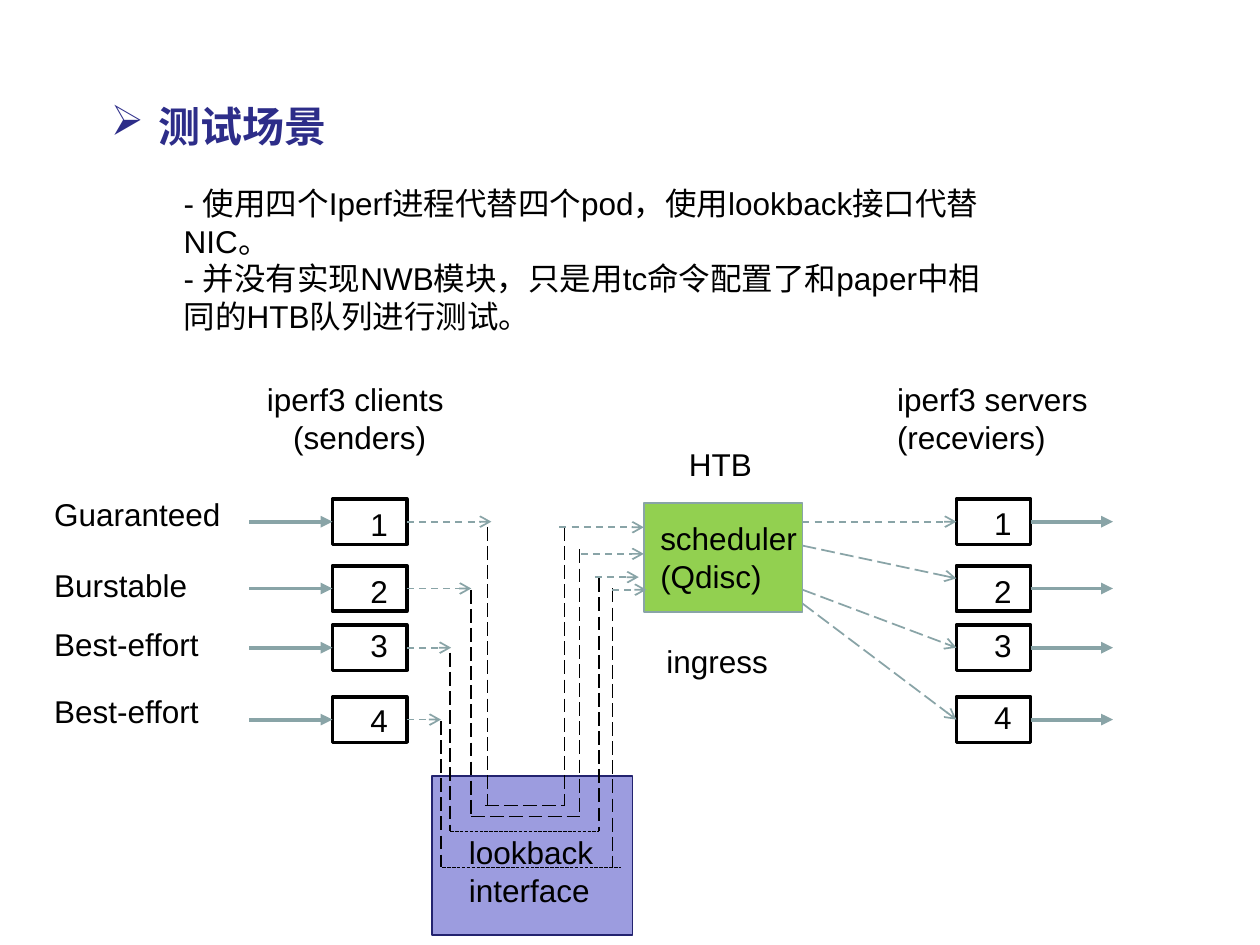
from lxml import etree
from pptx import Presentation
from pptx.dml.color import RGBColor
from pptx.enum.dml import MSO_LINE
from pptx.enum.shapes import MSO_CONNECTOR, MSO_SHAPE
from pptx.enum.text import MSO_ANCHOR, PP_ALIGN
from pptx.oxml.ns import qn
from pptx.util import Pt

RECT = MSO_SHAPE.RECTANGLE
STRAIGHT = MSO_CONNECTOR.STRAIGHT
TOP = MSO_ANCHOR.TOP
LEFT_ALIGN = PP_ALIGN.LEFT
DASH, LONG_DASH = MSO_LINE.DASH, MSO_LINE.LONG_DASH
LEFT, RIGHT = 1, 3  # connection sites of a rectangle

FONT = "Arial"
BLACK, WHITE, NAVY, GREY = "000000", "FFFFFF", "2D2D89", "89A4A7"
LILAC, INDIGO, GREEN = "9C9CDF", "23236F", "92D050"

BOX_W, BOX_H = 42.5, 26
ROWS = [0, 38.2, 72, 113.1]  # tops of the numbered boxes within a column


def rgb(color):
    return RGBColor.from_string(color)


def write(tf, lines, size=18, color=BLACK, bold=False):
    tf.vertical_anchor = TOP
    for i, line in enumerate(lines):
        p = tf.paragraphs[0] if i == 0 else tf.add_paragraph()
        p.alignment = LEFT_ALIGN
        r = p.add_run()
        r.text = line
        r.font.name, r.font.size, r.font.bold = FONT, Pt(size), bold
        r.font.color.rgb = rgb(color)


def label(slide, x, y, w, h, *lines):
    tf = slide.shapes.add_textbox(Pt(x), Pt(y), Pt(w), Pt(h)).text_frame
    tf.word_wrap = True
    write(tf, lines)
    return tf


def box(slide, x, y, w, h, fill, line, width, lines, inset):
    sp = slide.shapes.add_shape(RECT, Pt(x), Pt(y), Pt(w), Pt(h))
    sp.shadow.inherit = False
    sp.fill.solid()
    sp.fill.fore_color.rgb = rgb(fill)
    sp.line.color.rgb = rgb(line)
    sp.line.width = Pt(width)
    tf = sp.text_frame
    tf.word_wrap = False
    tf.margin_left, tf.margin_top = Pt(inset[0]), Pt(inset[1])
    tf.margin_right = tf.margin_bottom = 0
    write(tf, lines)
    return sp


def connect(slide, x1, y1, x2, y2, color=GREY, width=1, dash=None, head=None,
            begin=None, end=None):
    c = slide.shapes.add_connector(STRAIGHT, Pt(x1), Pt(y1), Pt(x2), Pt(y2))
    c.line.color.rgb = rgb(color)
    c.line.width = Pt(width)
    if dash:
        c.line.dash_style = dash
    if head:
        ln = c.line._get_or_add_ln()
        etree.SubElement(ln, qn("a:tailEnd"), type=head)
    etree.SubElement(c._element.spPr, qn("a:effectLst"))
    if begin:
        c.begin_connect(begin, RIGHT)
    if end:
        c.end_connect(end, LEFT)


def title(slide, x, y, w, h):
    sp = slide.shapes.title
    sp.left, sp.top, sp.width, sp.height = Pt(x), Pt(y), Pt(w), Pt(h)
    write(sp.text_frame, ["测试场景"], 24, NAVY, True)
    pPr = sp.text_frame.paragraphs[0]._p.get_or_add_pPr()
    pPr.set("marL", str(Pt(27)))
    pPr.set("indent", str(-Pt(27)))
    clr = etree.SubElement(pPr, qn("a:buClr"))
    etree.SubElement(clr, qn("a:srgbClr"), val=NAVY)
    etree.SubElement(pPr, qn("a:buChar"), char="➢")


def column(slide, x, y, number_tops):
    """Four numbered boxes, one below the other."""
    return [box(slide, x, y + row, BOX_W, BOX_H, WHITE, BLACK, 2, [str(i)], (21.6, top))
            for i, (row, top) in enumerate(zip(ROWS, number_tops), 1)]


def clients(slide, x, y):
    tf = label(slide, x - 44.6, y - 71.3, 118, 50.4, "iperf3 clients", "(senders)")
    tf.paragraphs[1]._p.get_or_add_pPr().set("indent", str(Pt(15)))
    boxes = column(slide, x, y, [3.6, 3.6, 0.7, 2.2])
    classes = [("Guaranteed", -5.7, 48.3), ("Burstable", -3.6, 36.8),
               ("Best-effort", -3.6, 25.3), ("Best-effort", -6.5, 19.5)]
    for sp, row, (name, shift, reach) in zip(boxes, ROWS, classes):
        mid = y + row + BOX_H / 2
        right = x + BOX_W
        label(slide, x - 166.2, y + row + shift, 114.5, 28.8, name)
        connect(slide, x - 47.5, mid, x, mid, width=2.25, head="triangle", end=sp)
        connect(slide, right, mid, right + reach, mid, dash=DASH, head="arrow", begin=sp)


def servers(slide, x, y):
    label(slide, x - 41, y - 71.3, 145.4, 50.4, "iperf3 servers", "(receviers)")
    boxes = column(slide, x, y, [2.9, 3.6, 0.7, 0.7])
    for sp, row in zip(boxes, ROWS):
        mid = y + row + BOX_H / 2
        connect(slide, x + BOX_W, mid, x + 89.5, mid, width=2.25, head="triangle", begin=sp)
    return boxes


def loopback(slide, x, y, w, h):
    box(slide, x, y, w, h, LILAC, INDIGO, 1, ["lookback", "interface"], (20.9, 32.4))
    # Each lane: left x, left top, right x, right top, bottom, bottom line x1, x2, width
    lanes = [(31.6, -142.5, 75.6, -142.5, 16.8, 30.2, 75.6, 1),
             (22.3, -106.5, 84.2, -129.5, 23.1, 22.3, 84.2, 1),
             (10.2, -70.5, 95.4, -113, 31.6, 10.2, 95.4, 0.25),
             (4.9, -31.5, 103, -107.2, 51.9, 5.7, 108, 0.25)]
    for left, left_top, right, right_top, bottom, x1, x2, width in lanes:
        for side, top in ((left, left_top), (right, right_top)):
            connect(slide, x + side, y + top, x + side, y + bottom, BLACK, 1, LONG_DASH)
        connect(slide, x + x1, y + bottom, x + x2, y + bottom, BLACK, width, LONG_DASH)


def scheduler(slide, x, y, w, h, targets):
    label(slide, x + 18.7, y - 36.7, 72, 28.8, "HTB")
    label(slide, x + 5.8, y + 76.3, 80, 28.8, "ingress")
    box(slide, x, y, w, h, GREEN, GREY, 1, ["scheduler", "(Qdisc)"], (9.4, 9.4))
    # Arrows in, from the loopback lanes
    for x1, x2, mid in [(-48.2, 0, 14), (-36, 0, 29.2), (-28, -2.9, 42.5), (-18, 1.5, 49.7)]:
        connect(slide, x + x1, y + mid, x + x2, y + mid, dash=DASH, head="arrow")
    # Arrows out, to the servers; the second meets its box above the middle
    exits = [(10.8, DASH, True), (24.5, LONG_DASH, False),
             (49.7, LONG_DASH, True), (57.6, LONG_DASH, True)]
    for sp, (out, dash, joined) in zip(targets, exits):
        connect(slide, x + w, y + out, sp.left.pt, sp.top.pt + 7.2, dash=dash,
                head="arrow", end=sp if joined else None)


def main():
    prs = Presentation()
    prs.slide_width, prs.slide_height = Pt(720), Pt(540)
    slide = prs.slides.add_slide(prs.slide_layouts[5])
    title(slide, 56.2, 54, 248.4, 64.8)
    label(slide, 97.9, 101.5, 474.5, 93.6,
          "- 使用四个Iperf进程代替四个pod，使用lookback接口代替NIC。",
          "- 并没有实现NWB模块，只是用tc命令配置了和paper中相同的HTB队列进行测试。")
    clients(slide, 190, 285.1)
    server_boxes = servers(slide, 546.5, 285.1)
    loopback(slide, 247, 443.5, 114.5, 90.7)
    scheduler(slide, 367.9, 287.3, 90.7, 62.6, server_boxes)
    prs.save("out.pptx")


if __name__ == "__main__":
    main()
